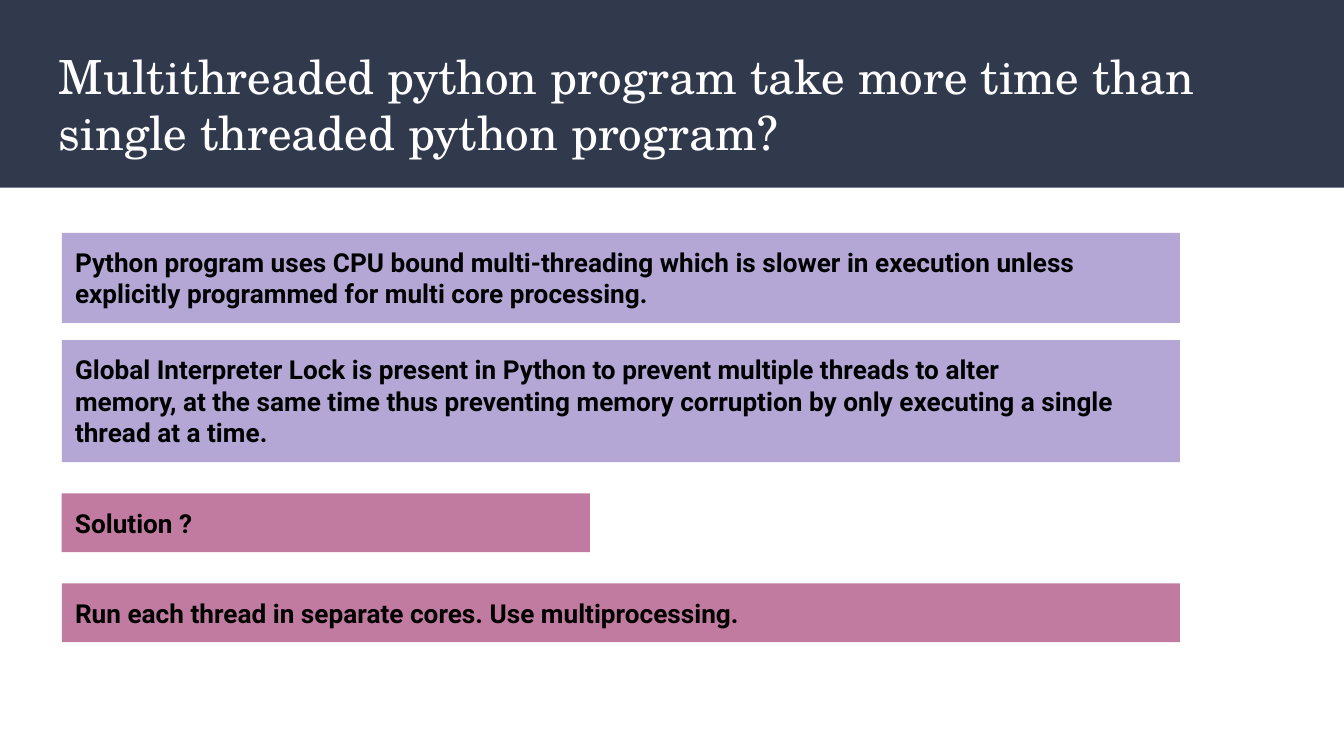
"""Build a slide on why multithreaded Python programs can be slower."""
from pptx import Presentation
from pptx.dml.color import RGBColor
from pptx.enum import shapes, text
from pptx.util import Pt

NAVY = RGBColor(0x31, 0x39, 0x4D)
LILAC = RGBColor(0xB4, 0xA7, 0xD6)
ROSE = RGBColor(0xC2, 0x7B, 0xA0)
WHITE = RGBColor(0xFF, 0xFF, 0xFF)
BLACK = RGBColor(0, 0, 0)

TITLE = "Multithreaded python program take more time than single threaded python program?"
LEFT, FULL, SHORT, INSET = 33.1, 599, 283, 7.2
STATEMENTS = [
    (124.8, FULL, 48.2, LILAC, [
        "Python program uses CPU bound multi-threading which is slower in execution "
        "unless explicitly programmed for multi core processing."]),
    (182.3, FULL, 65.3, LILAC, [
        "Global Interpreter Lock is present in Python to prevent multiple threads to alter",
        "memory, at the same time thus preventing memory corruption by only executing "
        "a single thread at a time."]),
    (264.4, SHORT, 31.4, ROSE, ["Solution ?"]),
    (312.6, FULL, 31.4, ROSE, ["Run each thread in separate cores. Use multiprocessing."]),
]


def add_block(slide, left, top, width, height, color):
    shape = slide.shapes.add_shape(
        shapes.MSO_SHAPE.RECTANGLE, Pt(left), Pt(top), Pt(width), Pt(height))
    shape.shadow.inherit = False
    shape.fill.solid()
    shape.fill.fore_color.rgb = color
    shape.line.fill.background()
    return shape


def write(shape, lines, font_name, size, color, bold=False):
    frame = shape.text_frame
    frame.word_wrap = True
    frame.vertical_anchor = text.MSO_ANCHOR.TOP
    frame.margin_left = frame.margin_right = Pt(INSET)
    frame.margin_top = frame.margin_bottom = Pt(INSET)
    frame.text = "\n".join(lines)
    for paragraph in frame.paragraphs:
        paragraph.alignment = text.PP_ALIGN.LEFT
        paragraph.font.name = font_name
        paragraph.font.size = Pt(size)
        paragraph.font.bold = bold
        paragraph.font.color.rgb = color


presentation = Presentation()
presentation.slide_width, presentation.slide_height = Pt(720), Pt(405)
slide = presentation.slides.add_slide(presentation.slide_layouts[6])

add_block(slide, 0, 0, 720, 100.5, NAVY)
title = slide.shapes.add_textbox(Pt(24.5), Pt(18), Pt(671), Pt(73.4))
write(title, [TITLE], "TeX Gyre Schola", 25.2, WHITE)

for top, width, height, color, lines in STATEMENTS:
    block = add_block(slide, LEFT, top, width, height, color)
    write(block, lines, "Roboto", 14, BLACK, bold=True)

presentation.save("out.pptx")
